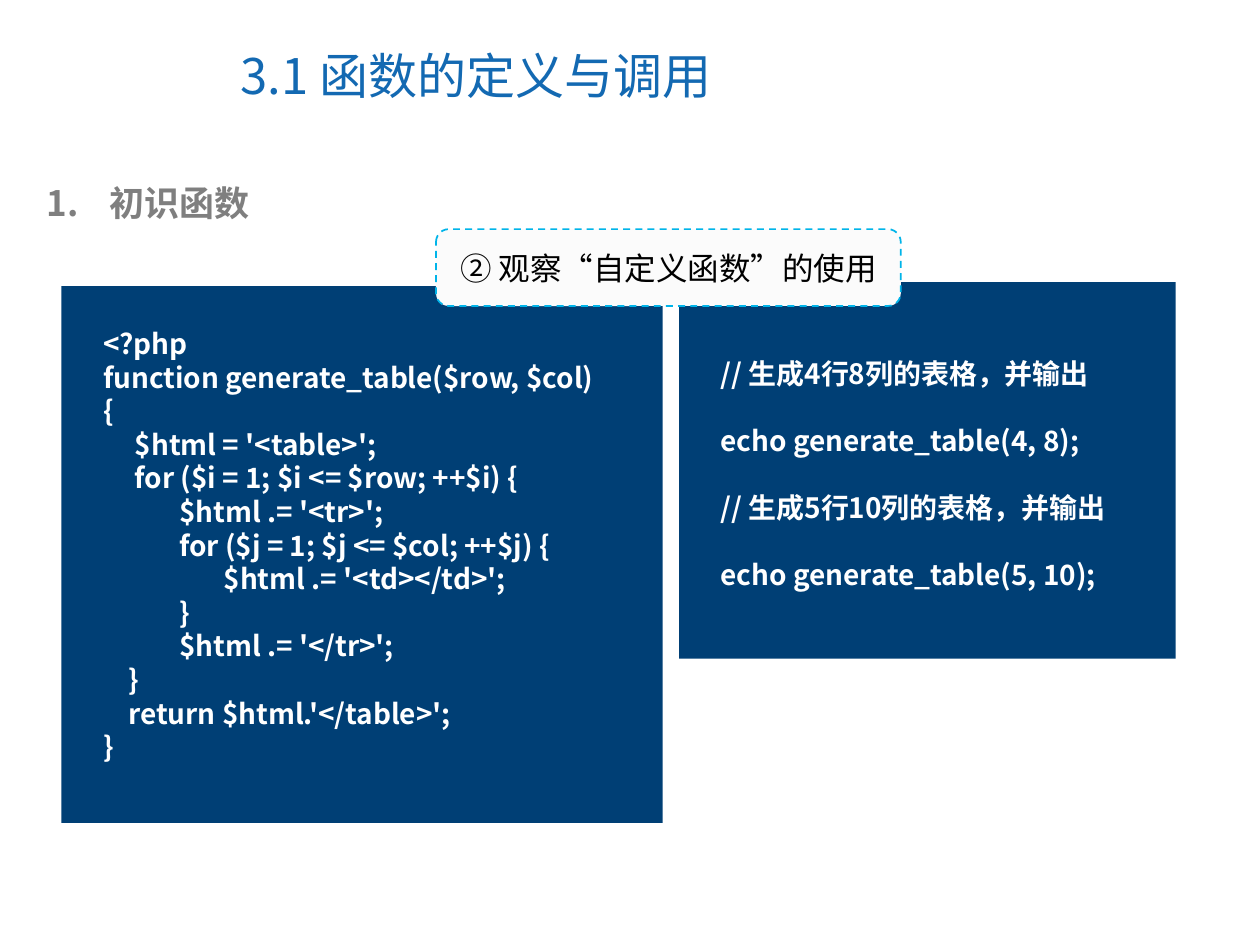
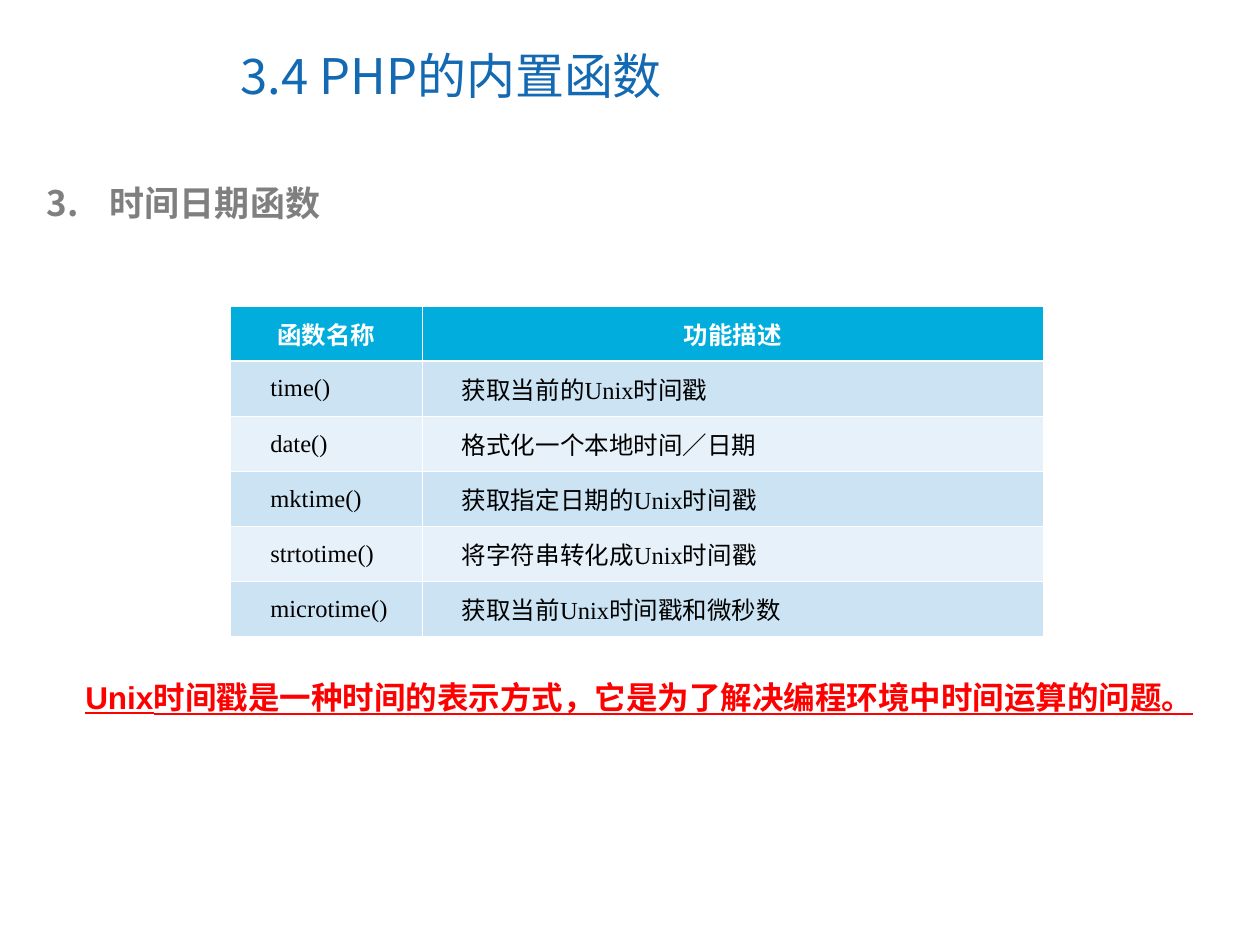
"""Build two lesson slides on PHP functions."""
from pptx import Presentation
from pptx.dml.color import RGBColor
from pptx.enum.dml import MSO_LINE
from pptx.enum.shapes import MSO_SHAPE
from pptx.enum.text import MSO_ANCHOR, MSO_AUTO_SIZE, PP_ALIGN
from pptx.oxml import parse_xml
from pptx.oxml.ns import nsdecls
from pptx.util import Cm, Pt

RECT, ROUNDED = MSO_SHAPE.RECTANGLE, MSO_SHAPE.ROUNDED_RECTANGLE
LEFT, CENTER, JUSTIFY = PP_ALIGN.LEFT, PP_ALIGN.CENTER, PP_ALIGN.JUSTIFY
MIDDLE = MSO_ANCHOR.MIDDLE
FIXED = MSO_AUTO_SIZE.NONE
DASH = MSO_LINE.DASH

SANS, ARIAL, SERIF = "Noto Sans CJK SC", "Arial", "Times New Roman"
TITLE_BLUE, NAVY, GRAY = "1369B2", "003F75", "7F7F7F"
WHITE, BLACK, RED = "FFFFFF", "000000", "FF0000"
CALLOUT_FILL, CALLOUT_EDGE = "FBFBFB", "00B4E9"
HEADER_FILL, ROW_FILLS = "00ADDC", ("E7F1F9", "CBE3F2")
THIN, THICK = 0.45, 1.47

DEFINITION = """<?php
function generate_table($row, $col)
{
     $html = '<table>';
     for ($i = 1; $i <= $row; ++$i) {
            $html .= '<tr>';
            for ($j = 1; $j <= $col; ++$j) {
                   $html .= '<td></td>';
            }
            $html .= '</tr>';
    }
    return $html.'</table>';
}""".splitlines()

CALLS = [
    "// 生成4行8列的表格，并输出",
    "echo generate_table(4, 8);",
    "// 生成5行10列的表格，并输出",
    "echo generate_table(5, 10);",
]

TIME_FUNCTIONS = [
    ("函数名称", "功能描述"),
    ("time()", "获取当前的Unix时间戳"),
    ("date()", "格式化一个本地时间／日期"),
    ("mktime()", "获取指定日期的Unix时间戳"),
    ("strtotime()", "将字符串转化成Unix时间戳"),
    ("microtime()", "获取当前Unix时间戳和微秒数"),
]


def rgb(value):
    """Turn a hex string into a colour."""
    return RGBColor.from_string(value)


def place(shape, left, top, width, height):
    """Move and size a shape, in centimetres."""
    shape.left, shape.top = Cm(left), Cm(top)
    shape.width, shape.height = Cm(width), Cm(height)


def write(paragraph, text, size, color, font=SANS, bold=False, underline=False):
    """Add one formatted run to a paragraph."""
    run = paragraph.add_run()
    run.text = text
    run.font.size = Pt(size)
    run.font.bold = bold
    run.font.underline = underline
    run.font.color.rgb = rgb(color)
    run.font.name = font
    run.font._element.append(
        parse_xml(f'<a:ea {nsdecls("a")} typeface="{SANS}"/>'))


def add_lines(slide, box, lines, size, color, font=SANS, spacing=1.0, underline=False):
    """Add a wrapped text box of bold lines."""
    frame = slide.shapes.add_textbox(*map(Cm, box)).text_frame
    frame.word_wrap = True
    for index, line in enumerate(lines):
        paragraph = frame.add_paragraph() if index else frame.paragraphs[0]
        paragraph.line_spacing = spacing
        write(paragraph, line, size, color, font, True, underline)


def add_block(slide, kind, box, fill):
    """Add a plain filled shape without outline or shadow."""
    block = slide.shapes.add_shape(kind, *map(Cm, box))
    block.shadow.inherit = False
    block.fill.solid()
    block.fill.fore_color.rgb = rgb(fill)
    block.line.fill.background()
    return block


def add_code_panel(slide, box, text_width, lines, spacing=1.0):
    """Add a navy panel with code set inside it."""
    left, top, _, height = box
    add_block(slide, RECT, box, NAVY)
    add_lines(slide, (left + 0.59, top + 0.69, text_width, height - 0.7),
              lines, 16, WHITE, spacing=spacing)


def add_callout(slide, box, text):
    """Add a dashed rounded callout."""
    callout = add_block(slide, ROUNDED, box, CALLOUT_FILL)
    callout.line.color.rgb = rgb(CALLOUT_EDGE)
    callout.line.width = Pt(1)
    callout.line.dash_style = DASH
    callout.text_frame.vertical_anchor = MIDDLE
    paragraph = callout.text_frame.paragraphs[0]
    paragraph.alignment = CENTER
    write(paragraph, text, 18, BLACK, ARIAL)


def add_section_slide(deck, title, number, topic):
    """Add a slide with its section title and numbered topic."""
    slide = deck.slides.add_slide(deck.slide_layouts[1])
    heading, numbered = slide.shapes.title, slide.placeholders[1]
    place(heading, 4.6, 0.43, 13.11, 2.16)
    place(numbered, 0.69, 3.53, 23.42, 1.12)
    for holder in (heading, numbered):
        holder.text_frame.auto_size = FIXED
        holder.text_frame.paragraphs[0].alignment = LEFT
    heading.text_frame.vertical_anchor = MIDDLE
    write(heading.text_frame.paragraphs[0], title, 28, TITLE_BLUE)

    paragraph = numbered.text_frame.paragraphs[0]
    paragraph.space_before = Pt(0)
    properties = paragraph._p.get_or_add_pPr()
    properties.set("marL", str(Cm(1.27)))
    properties.set("indent", str(-Cm(1.27)))
    for bullet in (f'buClr {nsdecls("a")}><a:srgbClr val="{GRAY}"/></a:buClr>',
                   f'buFont {nsdecls("a")} typeface="{SANS}"/>',
                   f'buAutoNum {nsdecls("a")} type="arabicPeriod" startAt="{number}"/>'):
        properties.append(parse_xml(f"<a:{bullet}"))
    write(paragraph, topic, 20, GRAY, bold=True)
    return slide


def add_borders(cell, top, bottom):
    """Draw white cell borders, with top and bottom widths in points."""
    properties = cell._tc.get_or_add_tcPr()
    for side, width in (("L", THIN), ("R", THIN), ("T", top), ("B", bottom)):
        properties.append(parse_xml(
            f'<a:ln{side} {nsdecls("a")} w="{Pt(width)}"><a:solidFill>'
            f'<a:srgbClr val="{WHITE}"/></a:solidFill></a:ln{side}>'))


def fill_cell(cell, text, row):
    """Format one table cell as header or body."""
    header = row == 0
    add_borders(cell, THICK if row == 1 else THIN, THICK if header else THIN)
    cell.fill.solid()
    cell.fill.fore_color.rgb = rgb(HEADER_FILL if header else ROW_FILLS[row % 2])
    cell.vertical_anchor = MIDDLE
    cell.margin_left = Cm(0.18 if header else 0.5)
    cell.margin_right = Cm(0.18)
    paragraph = cell.text_frame.paragraphs[0]
    if header:
        paragraph.alignment = CENTER
        write(paragraph, text, 14, WHITE, ARIAL, True)
    else:
        paragraph.alignment = JUSTIFY
        paragraph._p.get_or_add_pPr().set("marL", str(Cm(0.3)))
        write(paragraph, text, 14, BLACK, SERIF)


def add_function_table(slide, left, top, widths, row_height, rows):
    """Add a banded table with a header row."""
    table = slide.shapes.add_table(
        len(rows), len(widths), Cm(left), Cm(top),
        Cm(sum(widths)), Cm(row_height * len(rows))).table
    for column, width in zip(table.columns, widths):
        column.width = Cm(width)
    for row, texts in enumerate(rows):
        for column, text in enumerate(texts):
            fill_cell(table.cell(row, column), text, row)


def main():
    """Build and save the deck."""
    deck = Presentation()
    deck.slide_width, deck.slide_height = Cm(25.4), Cm(19.05)

    definition = add_section_slide(deck, "3.1 函数的定义与调用", 1, "初识函数")
    add_code_panel(definition, (13.69, 5.69, 10.01, 7.59), 8.69, CALLS, spacing=2.0)
    add_code_panel(definition, (1.24, 5.77, 12.12, 10.82), 11.1, DEFINITION)
    add_callout(definition, (8.79, 4.62, 9.37, 1.55), "② 观察“自定义函数”的使用")

    built_in = add_section_slide(deck, "3.4 PHP的内置函数", 3, "时间日期函数")
    add_function_table(built_in, 4.65, 6.17, (3.86, 12.52), 1.11, TIME_FUNCTIONS)
    add_lines(built_in, (1.47, 13.54, 23.42, 1.02),
              ["Unix时间戳是一种时间的表示方式，它是为了解决编程环境中时间运算的问题。"],
              18, RED, ARIAL, underline=True)

    deck.save("out.pptx")


if __name__ == "__main__":
    main()
